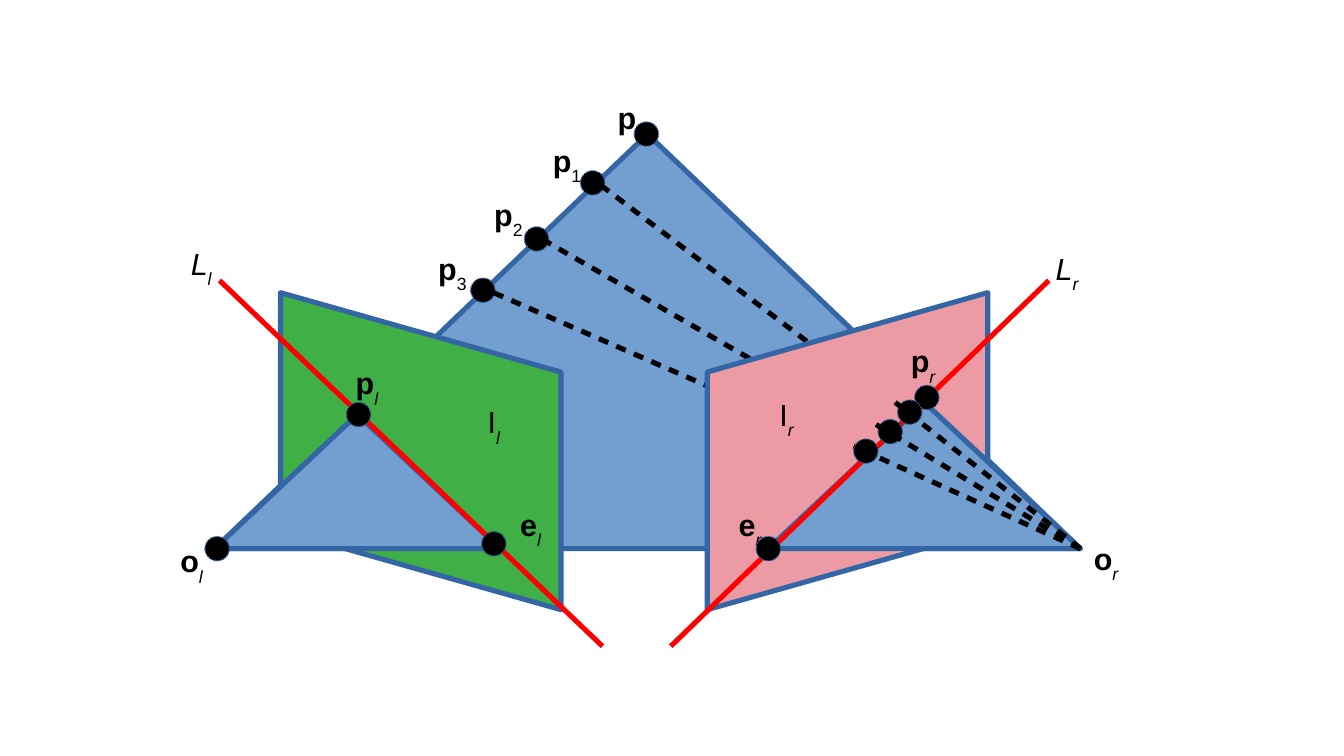
from lxml import etree
from pptx import Presentation
from pptx.dml.color import RGBColor
from pptx.enum.dml import MSO_LINE
from pptx.enum.shapes import MSO_CONNECTOR, MSO_SHAPE
from pptx.enum.text import PP_ALIGN
from pptx.oxml.ns import qn
from pptx.util import Pt

LINE = MSO_CONNECTOR.STRAIGHT
TRI = MSO_SHAPE.ISOSCELES_TRIANGLE
OVAL = MSO_SHAPE.OVAL
PLANE = MSO_SHAPE.PARALLELOGRAM
DOTTED = MSO_LINE.ROUND_DOT
LEFT, MID = PP_ALIGN.LEFT, PP_ALIGN.CENTER
HUES = {"black": "000000", "edge": "3465A4", "blue": "729FCF",
        "green": "3FAF46", "pink": "EC9BA4", "red": "FF0000"}
DOT = 14.4


def hue(name):
    """Return the named colour."""
    return RGBColor.from_string(HUES[name])


def solid(shapes, kind, box, fill, width=3):
    """Draw a filled preset shape with an edge."""
    shape = shapes.add_shape(kind, *map(Pt, box))
    shape.shadow.inherit = False
    shape.fill.solid()
    shape.fill.fore_color.rgb = hue(fill)
    shape.line.color.rgb = hue("edge")
    shape.line.width = Pt(width)
    return shape


def dots(shapes, box, spots):
    """Draw black dots centred on spots in the box."""
    for x, y in spots:
        place = (box[0] + x - DOT / 2, box[1] + y - DOT / 2, DOT, DOT)
        dot = solid(shapes, OVAL, place, "black", 0)
        dot.line.dash_style = DOTTED


def stroke(shapes, box, start, end, color, dashed=False):
    """Draw a straight line between two spots in the box."""
    ends = [Pt(box[i] + spot[i]) for spot in (start, end) for i in (0, 1)]
    line = shapes.add_connector(LINE, *ends)
    line.line.color.rgb = hue(color)
    line.line.width = Pt(3)
    props = line._element.spPr
    if dashed:
        dash = etree.SubElement(props.find(qn("a:ln")), qn("a:custDash"))
        etree.SubElement(dash, qn("a:ds"), d="200000", sp="175000")
    etree.SubElement(props, qn("a:effectLst"))


def label(shapes, box, spot, main, sub):
    """Write a symbol with its subscript."""
    x, y = box[0] + spot[0], box[1] + spot[1]
    area = shapes.add_textbox(Pt(x), Pt(y), Pt(36 if sub else 28.8), Pt(31.7))
    area.text_frame.word_wrap = True
    para = area.text_frame.paragraphs[0]
    para.alignment = LEFT if main + sub == "ol" else MID
    for text, low in ((main, False), (sub, True)):
        if not text:
            continue
        run = para.add_run()
        run.text = text
        font = run.font
        font.name, font.size = "Arial", Pt(18)
        font.color.rgb = hue("black")
        font.bold = not low and main in "poe"
        font.italic = text.isalpha() if low else main == "L"
        if low:
            run._r.get_or_add_rPr().set("baseline", "-33000")


def scene(shapes, box):
    """Draw the large triangle with its points and rays."""
    solid(shapes, TRI, box, "blue")
    spots = [(254.9, 0), (223.2, 28.8), (190.1, 61.9), (158.4, 92.2)]
    places = [(229, -24.5), (190.1, 1.4), (155.5, 33.1), (122.4, 64.8)]
    dots(shapes, box, spots)
    for place, sub in zip(places, ("", "1", "2", "3")):
        label(shapes, box, place, "p", sub)
    rays = shapes.add_group_shape().shapes
    for x, y in spots[1:]:
        stroke(rays, box, box[2:], (x + 3, y), "black", True)


def view(shapes, box, side, fill, tri, line, spots, places, rays=()):
    """Draw an image plane with its triangle, line, points and labels."""
    x, y, wide, tall = box
    gap = (tall - wide) / 2
    plane = solid(shapes, PLANE, (x - gap, y + gap, tall, wide), fill)
    plane.adjustments[0] = 0.283
    plane.rotation = 270 if side == "l" else 90
    if side == "r":
        plane._element.spPr.find(qn("a:xfrm")).set("flipH", "1")
    solid(shapes, TRI, (x + tri[0], y + tri[1], *tri[2:]), "blue")
    stroke(shapes, box, *line, "red")
    for main, place in places.items():
        label(shapes, box, place, main, side)
    dots(shapes, box, spots)
    tip = (tri[0] + tri[2], tri[1] + tri[3])
    for end in rays:
        stroke(shapes, box, tip, end, "black", True)


def main():
    """Build and save the slide."""
    deck = Presentation()
    deck.slide_width, deck.slide_height = Pt(793.44), Pt(446.4)
    shapes = deck.slides.add_slide(deck.slide_layouts[6]).shapes
    scene(shapes, (126.7, 79.2, 511.2, 244.8))
    view(shapes, (165.6, 172.8, 165.6, 187.2), "l", "green",
         (-38.9, 72, 168.5, 79.2), ((-36, -7.2), (190.1, 208.8)),
         [(46.1, 72), (-37.4, 151.2), (126, 148.3)],
         {"o": (-66.2, 144), "p": (33.1, 38.9), "e": (129.6, 122.4),
          "L": (-64.8, -31.7), "I": (108, 61.9)})
    view(shapes, (417.6, 172.8, 165.6, 187.2), "r", "pink",
         (36, 64.8, 184.3, 86.4), ((201.6, -7.2), (-21.6, 208.8)),
         [(129.6, 61.9), (119.5, 70.6), (108, 82.1), (93.6, 93.6),
          (36, 151.2)],
         {"o": (217.4, 142.6), "p": (109.4, 25.9), "e": (7.2, 122.4),
          "L": (194.4, -28.8), "I": (28.8, 57.6)},
         [(110.9, 64.8), (99.4, 77.8), (86.4, 90.7)])
    deck.save("out.pptx")


if __name__ == "__main__":
    main()
